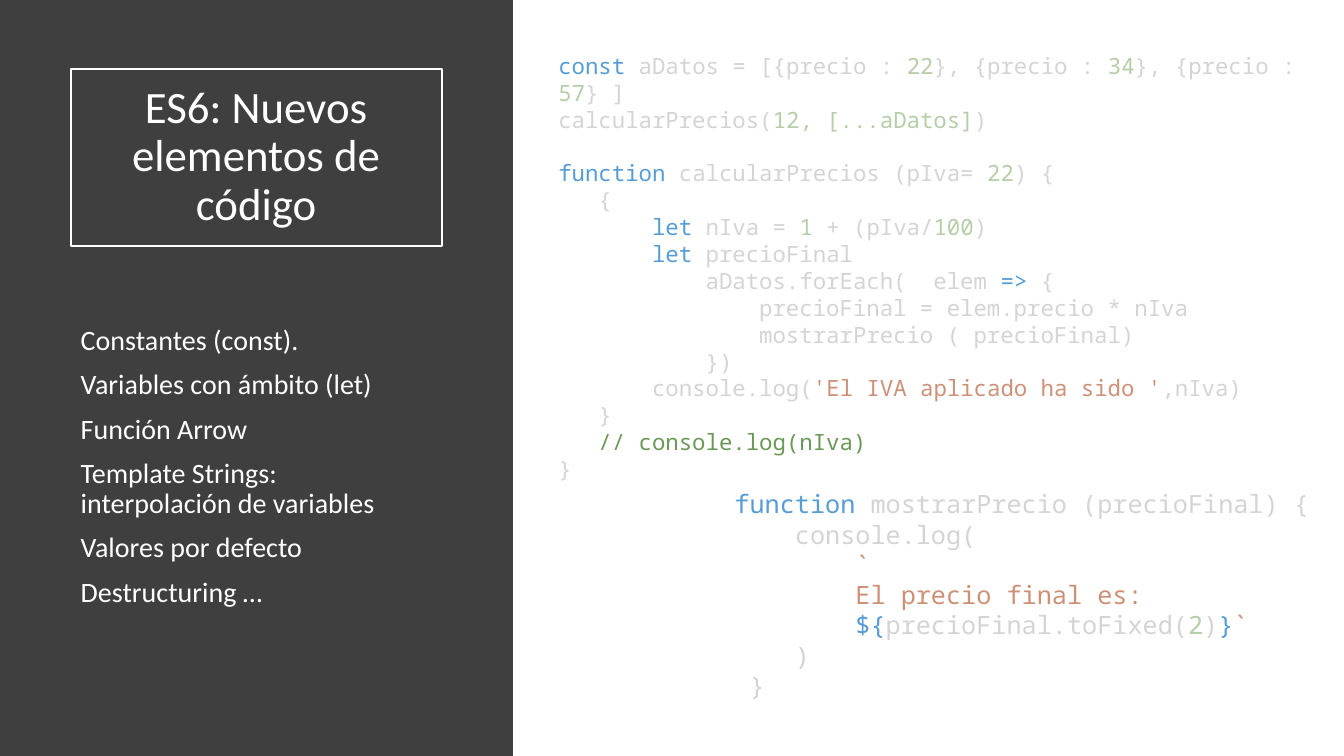
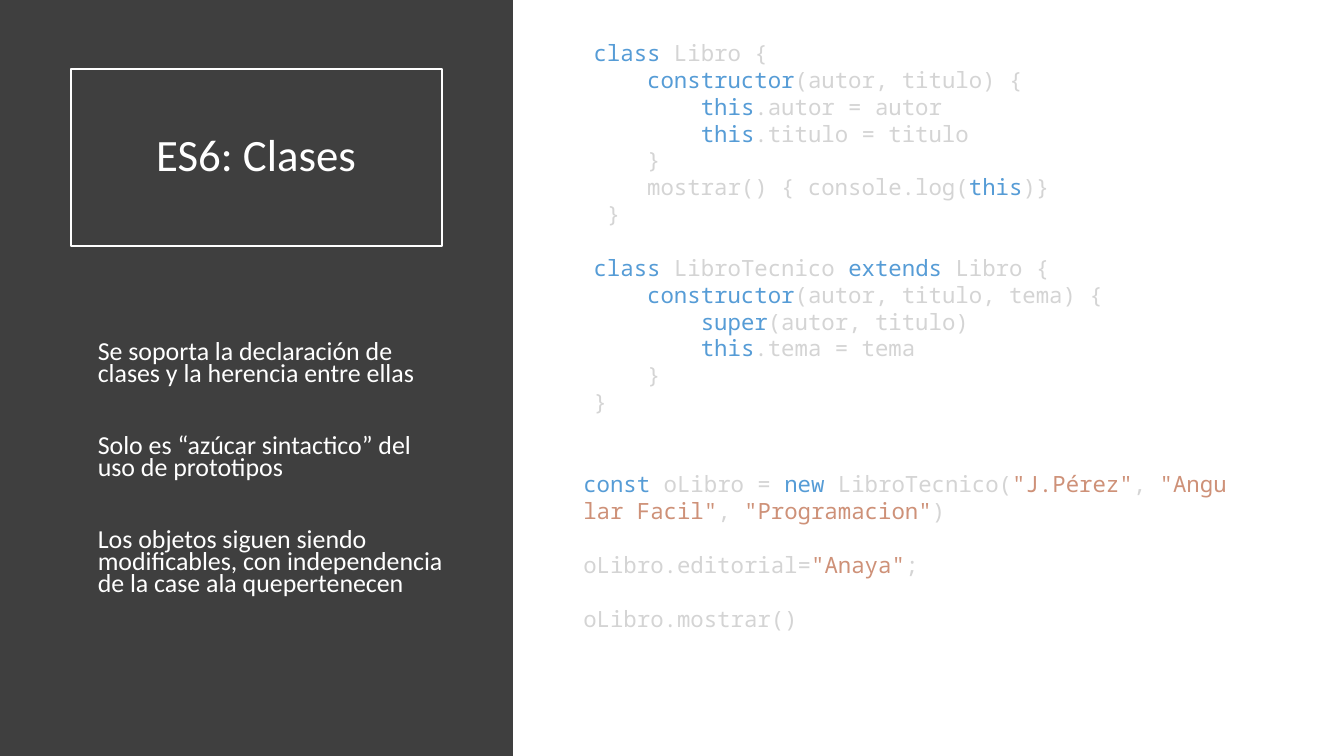
"""Build two slides on ES6: new code elements and classes."""
import dataclasses
from typing import Any

import lxml.etree
import pptx
import pptx.dml.color
import pptx.enum.shapes
import pptx.enum.text
import pptx.oxml.ns
import pptx.util

Cm = pptx.util.Cm
Pt = pptx.util.Pt
Box = tuple[float, float, float, float]

WIDTH, HEIGHT = 33.87, 19.05
PANEL_BOX: Box = (0, 0, 12.93, HEIGHT)
TITLE_BOX: Box = (1.78, 1.73, 9.35, 4.47)
WHITE, PANEL = "FFFFFF", "3F3F3F"
TEXT_FONT, CODE_FONT = "Calibri", "Noto Sans Mono"
CODE_LEADING = 1.2
MARK = "§"
SYNTAX = {
    "t": "D4D4D4",
    "k": "569CD6",
    "n": "B5CEA8",
    "s": "CE9178",
    "c": "6A9955",
}


@dataclasses.dataclass
class Code:
    """A code listing; a mark and a syntax key switch the colour."""

    box: Box
    size: float
    text: str


@dataclasses.dataclass
class Points:
    """The list in the side panel."""

    box: Box
    size: float
    spacing: float
    gap: float
    items: list[str]


@dataclasses.dataclass
class Page:
    """The content of one slide."""

    title: str
    points: Points
    listings: list[Code]


PAGES = [
    Page(
        "ES6: Nuevos elementos de código",
        Points((1.78, 8.1, 9.3, 7.75), 20, 0.9, 10, [
            "Constantes (const).",
            "Variables con ámbito (let)",
            "Función Arrow",
            "Template Strings: interpolación de variables",
            "Valores por defecto",
            "Destructuring …",
        ]),
        [
            Code((13.82, 1.19, 19.56, 10.52), 16, """\
§kconst §taDatos = [{precio : §n22§t}, {precio : §n34§t}, {precio : §n57§t} ]
calcularPrecios(§n12, [...aDatos]§t)

§kfunction §tcalcularPrecios (pIva= §n22§t) {
   {
       §klet §tnIva = §n1§t + (pIva/§n100§t)
       §klet §tprecioFinal
           aDatos.forEach(  elem §k=>§t {
               precioFinal = elem.precio * nIva
               mostrarPrecio ( precioFinal)
           })
       console.log(§s'El IVA aplicado ha sido '§t,nIva)
   }
   §c// console.log(nIva)
}"""),
            Code((18.26, 12.19, 16.94, 5.64), 18, """\
§kfunction §tmostrarPrecio (precioFinal) {
    console.log(
        §s`
§s        El precio final es:
        §k${§tprecioFinal.toFixed(§n2§t)§k}§s`
    )
 }"""),
        ],
    ),
    Page(
        "ES6: Clases",
        Points((2.21, 8.53, 9.3, 7.75), 18.5, 0.7, 36, [
            "Se soporta la declaración de clases y la herencia entre ellas",
            "Solo es “azúcar sintactico” del uso de prototipos",
            "Los objetos siguen siendo modificables, con independencia "
            "de la case ala quepertenecen",
        ]),
        [
            Code((14.71, 0.86, 16.94, 9.83), 16, """\
§kclass§t Libro {
    §kconstructor§t(autor, titulo) {
        §kthis§t.autor = autor
        §kthis§t.titulo = titulo
    }
    mostrar() { console.log(§kthis§t)}
 }

§kclass §tLibroTecnico §kextends§t Libro {
    §kconstructor§t(autor, titulo, tema) {
        §ksuper§t(autor, titulo)
        §kthis§t.tema = tema
    }
}"""),
            Code((14.45, 11.73, 16.94, 4.52), 16, """\
§kconst §toLibro = §knew §tLibroTecnico(§s"J.Pérez"§t, §s"Angular Facil"§t, §s"Programacion"§t)

oLibro.editorial=§s"Anaya"§t;

oLibro.mostrar()"""),
        ],
    ),
]


def rgb(value: str) -> pptx.dml.color.RGBColor:
    """Turn a hex string into a colour."""
    return pptx.dml.color.RGBColor.from_string(value)


def put(target: Any, values: dict[str, Any]) -> None:
    """Set each named attribute on the target."""
    for name, value in values.items():
        setattr(target, name, value)


def place(sp: Any, box: Box) -> None:
    """Move and size a shape, in centimetres."""
    put(sp, dict(zip(("left", "top", "width", "height"), map(Cm, box))))


def add_run(p: Any, text: str, font: str, size: float, color: str) -> None:
    """Append a formatted run to a paragraph."""
    r = p.add_run()
    r.text = text
    put(r.font, {"name": font, "size": Pt(size)})
    r.font.color.rgb = rgb(color)


def next_paragraph(tf: Any, first: bool) -> Any:
    """Give the paragraph to write in."""
    return tf.paragraphs[0] if first else tf.add_paragraph()


def add_panel(s: Any) -> None:
    """Draw the dark side panel behind everything else."""
    sp = s.shapes.add_shape(
        pptx.enum.shapes.MSO_SHAPE.RECTANGLE, *map(Cm, PANEL_BOX))
    sp.shadow.inherit = False
    sp.fill.solid()
    sp.fill.fore_color.rgb = rgb(PANEL)
    sp.line.fill.background()
    s.shapes._spTree.insert(2, sp._element)


def set_title(s: Any, text: str) -> None:
    """Write the framed title."""
    sp = s.shapes.title
    place(sp, TITLE_BOX)
    sp.line.color.rgb = rgb(WHITE)
    sp.line.width = Pt(1.5)
    tf = sp.text_frame
    put(tf, {
        "word_wrap": True,
        "auto_size": pptx.enum.text.MSO_AUTO_SIZE.NONE,
        "vertical_anchor": pptx.enum.text.MSO_ANCHOR.MIDDLE,
    })
    p = tf.paragraphs[0]
    put(p, {"alignment": pptx.enum.text.PP_ALIGN.CENTER, "line_spacing": 0.9})
    add_run(p, text, TEXT_FONT, 32, WHITE)


def set_points(s: Any, points: Points) -> None:
    """Write the list in the body placeholder, without bullets."""
    sp = s.placeholders[1]
    place(sp, points.box)
    tf = sp.text_frame
    put(tf, {
        "word_wrap": True,
        "auto_size": pptx.enum.text.MSO_AUTO_SIZE.NONE,
        "vertical_anchor": pptx.enum.text.MSO_ANCHOR.TOP,
    })
    for i, item in enumerate(points.items):
        p = next_paragraph(tf, i == 0)
        pPr = p._p.get_or_add_pPr()
        pPr.set("marL", "0")
        pPr.set("indent", "0")
        lxml.etree.SubElement(pPr, pptx.oxml.ns.qn("a:buNone"))
        put(p, {
            "alignment": pptx.enum.text.PP_ALIGN.LEFT,
            "line_spacing": points.spacing,
            "space_before": Pt(points.gap if i else 0),
        })
        add_run(p, item, TEXT_FONT, points.size, WHITE)


def add_code(s: Any, code: Code) -> None:
    """Draw a listing; an empty line becomes space before the next one."""
    tf = s.shapes.add_textbox(*map(Cm, code.box)).text_frame
    put(tf, {
        "word_wrap": True,
        "auto_size": pptx.enum.text.MSO_AUTO_SIZE.SHAPE_TO_FIT_TEXT,
    })
    gap = 0.0
    for i, line in enumerate(code.text.split("\n")):
        if not line:
            gap += code.size * CODE_LEADING
            continue
        p = next_paragraph(tf, i == 0)
        if gap:
            p.space_before = Pt(gap)
            gap = 0.0
        for part in ("t" + line).split(MARK):
            if part[1:]:
                text = part[1:].replace(" ", chr(160))
                add_run(p, text, CODE_FONT, code.size, SYNTAX[part[0]])


def add_page(prs: Any, page: Page) -> None:
    """Build one slide."""
    s = prs.slides.add_slide(prs.slide_layouts[1])
    s.background.fill.solid()
    s.background.fill.fore_color.rgb = rgb(WHITE)
    add_panel(s)
    set_title(s, page.title)
    set_points(s, page.points)
    for code in page.listings:
        add_code(s, code)


def main() -> None:
    """Build and save the presentation."""
    prs = pptx.Presentation()
    put(prs, {"slide_width": Cm(WIDTH), "slide_height": Cm(HEIGHT)})
    for page in PAGES:
        add_page(prs, page)
    prs.save("out.pptx")


if __name__ == "__main__":
    main()
